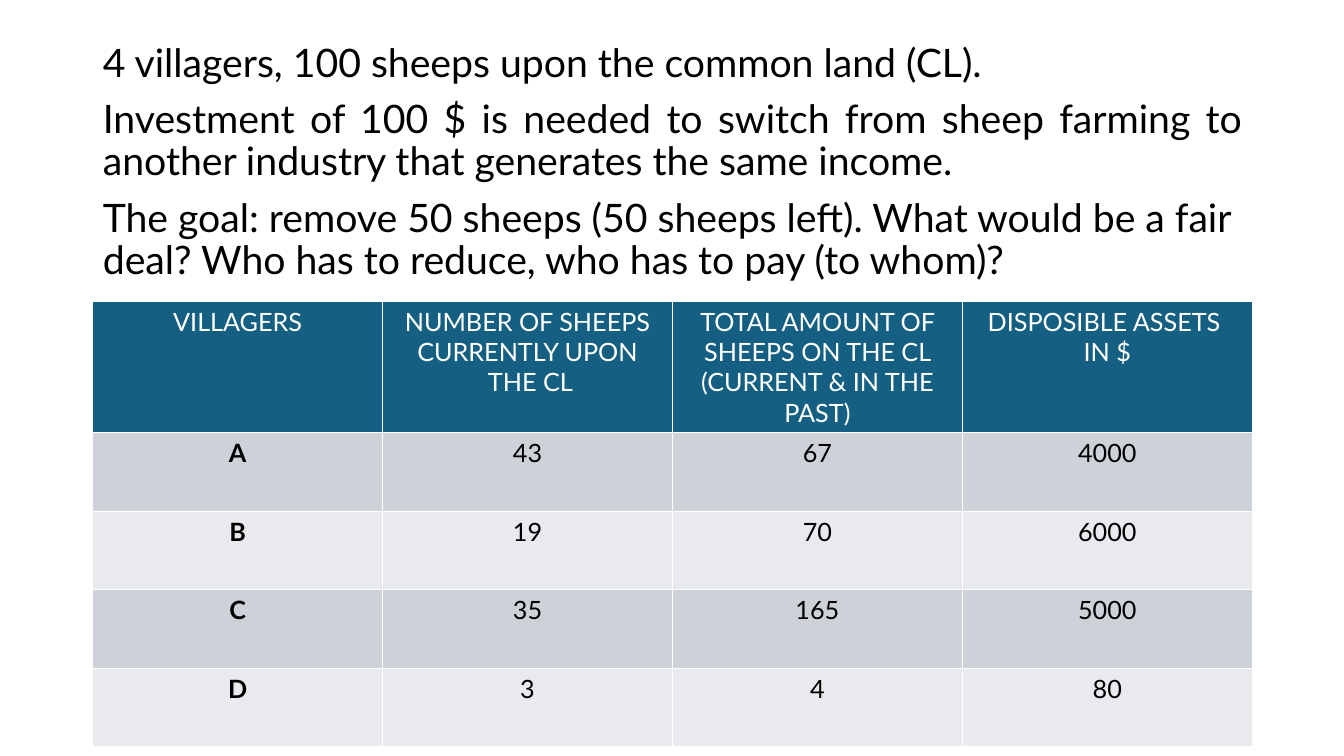
from lxml.etree import SubElement
from pptx import Presentation
from pptx.dml.color import RGBColor
from pptx.enum.text import MSO_AUTO_SIZE, PP_ALIGN
from pptx.oxml.ns import qn
from pptx.util import Inches, Pt

FONT = "Lato"
BLACK = RGBColor(0x00, 0x00, 0x00)
WHITE = RGBColor(0xFF, 0xFF, 0xFF)
TEAL = RGBColor(0x15, 0x60, 0x82)
BANDS = [RGBColor(0xCC, 0xD2, 0xD8), RGBColor(0xE8, 0xEA, 0xED)]

INTRO = [
    ("4 villagers, 100 sheeps upon the common land (CL).", PP_ALIGN.JUSTIFY),
    ("Investment of 100 $ is needed to switch from sheep farming to another "
     "industry that generates the same income.", PP_ALIGN.JUSTIFY),
    ("The goal: remove 50 sheeps (50 sheeps left). What would be a fair deal? "
     "Who has to reduce, who has to pay (to whom)?", PP_ALIGN.LEFT),
]
HEADER = [
    ["VILLAGERS"],
    ["NUMBER OF SHEEPS CURRENTLY UPON", " THE CL"],
    ["TOTAL AMOUNT OF SHEEPS ON THE CL (CURRENT & IN THE PAST)"],
    ["DISPOSIBLE ASSETS ", "IN $"],
]
VILLAGERS = [
    ("A", 43, 67, 4000),
    ("B", 19, 70, 6000),
    ("C", 35, 165, 5000),
    ("D", 3, 4, 80),
]
LEFT, WIDTH = 0.92, 11.5
TABLE_TOP, ROW_HEIGHT = 2.99, 0.78


def add_run(p, text, size, color, bold=False):
    r = p.add_run()
    r.text = text
    r.font.name = FONT
    r.font.size = Pt(size)
    r.font.bold = bold
    r.font.color.rgb = color


def add_borders(cell):
    tcPr = cell._tc.get_or_add_tcPr()
    for i, side in enumerate(("lnL", "lnR", "lnT", "lnB")):
        ln = tcPr.makeelement(qn(f"a:{side}"), {"w": str(Pt(1))})
        fill = SubElement(ln, qn("a:solidFill"))
        SubElement(fill, qn("a:srgbClr"), val=str(WHITE))
        tcPr.insert(i, ln)


def fill_cell(cell, lines, fill, color, bold):
    cell.fill.solid()
    cell.fill.fore_color.rgb = fill
    add_borders(cell)
    tf = cell.text_frame
    for i, line in enumerate(lines):
        p = tf.add_paragraph() if i else tf.paragraphs[0]
        p.alignment = PP_ALIGN.CENTER
        add_run(p, line, 18, color, bold)


def add_intro(s):
    sp = s.placeholders[1]
    sp.left, sp.top = Inches(LEFT), Inches(0.38)
    sp.width, sp.height = Inches(WIDTH), Inches(6.38)
    tf = sp.text_frame
    tf.word_wrap = True
    tf.auto_size = MSO_AUTO_SIZE.NONE
    for i, (text, align) in enumerate(INTRO):
        p = tf.add_paragraph() if i else tf.paragraphs[0]
        pPr = p._p.get_or_add_pPr()
        pPr.set("marL", "0")
        pPr.set("indent", "0")
        SubElement(pPr, qn("a:buNone"))
        p.alignment = align
        p.line_spacing = 0.9
        p.space_before = Pt(10 if i else 0)
        add_run(p, text, 28, BLACK)


def add_villagers(s):
    rows = len(VILLAGERS) + 1
    table = s.shapes.add_table(
        rows, len(HEADER), Inches(LEFT), Inches(TABLE_TOP),
        Inches(WIDTH), Inches(ROW_HEIGHT * rows)).table
    for col, lines in enumerate(HEADER):
        fill_cell(table.cell(0, col), lines, TEAL, WHITE, False)
    for row, values in enumerate(VILLAGERS):
        for col, value in enumerate(values):
            fill_cell(table.cell(row + 1, col), [str(value)],
                      BANDS[row % 2], BLACK, col == 0)


def main():
    prs = Presentation()
    prs.slide_width, prs.slide_height = Inches(13.33), Inches(7.5)
    s = prs.slides.add_slide(prs.slide_layouts[1])
    title = s.shapes.title.element
    title.getparent().remove(title)
    add_intro(s)
    add_villagers(s)
    prs.save("out.pptx")


if __name__ == "__main__":
    main()
